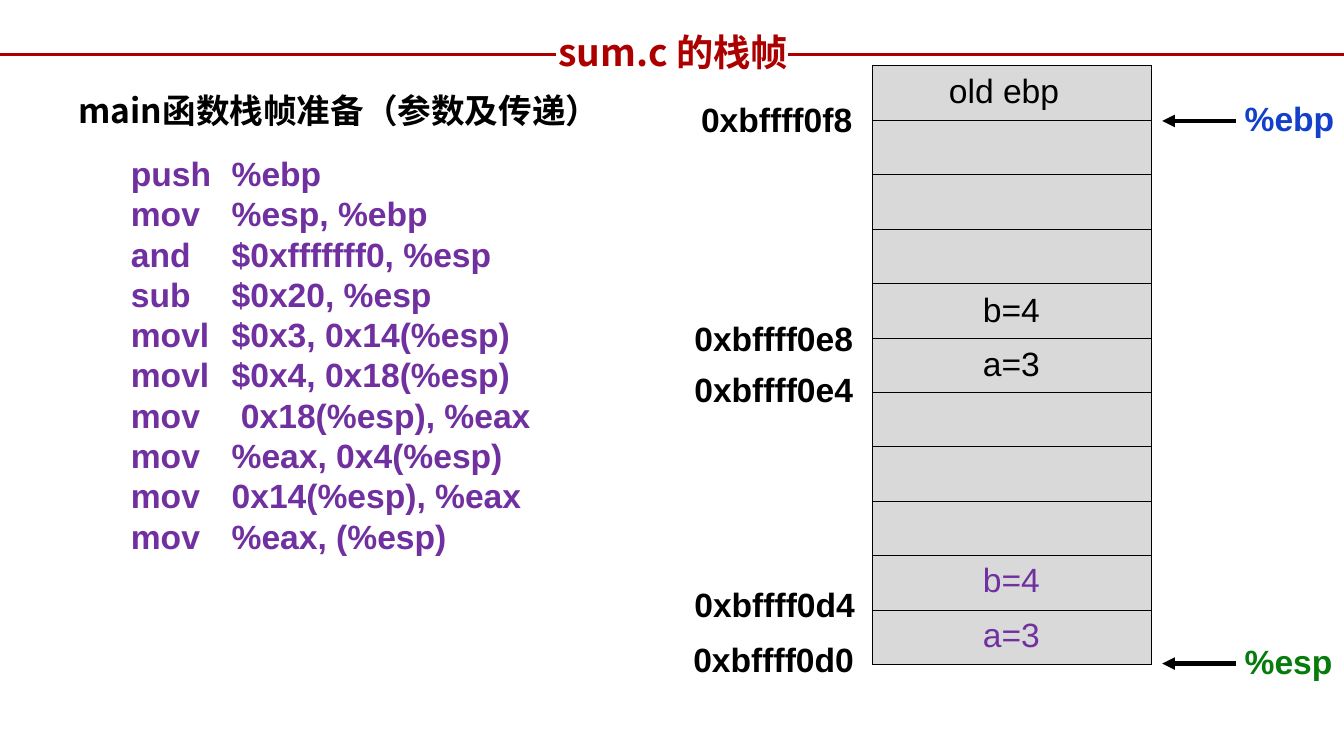
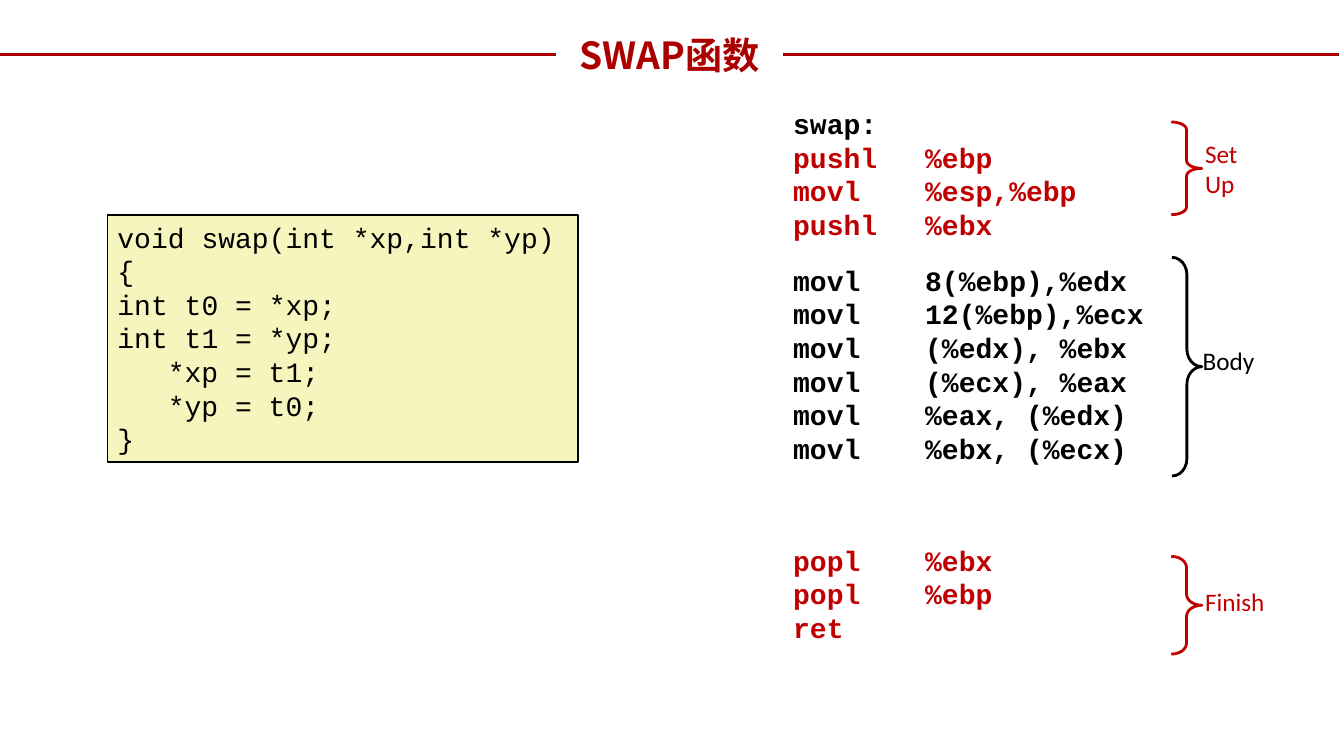
from lxml.etree import SubElement
from pptx import Presentation
from pptx.dml.color import RGBColor
from pptx.enum.shapes import MSO_CONNECTOR, MSO_SHAPE
from pptx.enum.text import MSO_ANCHOR, PP_ALIGN
from pptx.oxml import parse_xml
from pptx.oxml.ns import nsdecls, qn
from pptx.util import Inches, Pt

BLACK = RGBColor(0x00, 0x00, 0x00)
CRIMSON = RGBColor(0xAC, 0x00, 0x00)
RED = RGBColor(0xC0, 0x00, 0x00)
PURPLE = RGBColor(0x70, 0x30, 0xA0)
BLUE = RGBColor(0x13, 0x3F, 0xCB)
GREEN = RGBColor(0x06, 0x7C, 0x0C)
GREY = RGBColor(0xD9, 0xD9, 0xD9)
CREAM = RGBColor(0xF6, 0xF5, 0xBD)

SANS, MONO, LABEL, CHINESE = "Arial", "Courier New", "Calibri", "Noto Sans CJK SC"
COLUMNS, ROWS = 40, 22.5
LEADING = 1.2


def cells(count):
    """Length of a number of grid cells, each a third of an inch square."""
    return Inches(count / 3)


def style_run(run, font, size, color, bold):
    run.font.name, run.font.size, run.font.bold = font, Pt(size), bold
    run.font.color.rgb = color
    SubElement(run.font._element, qn("a:ea"), typeface=font)


def write(frame, lines, font=SANS, size=24, color=BLACK, bold=False,
          align=PP_ALIGN.LEFT, tab=None):
    """Fill a frame; a line is a string or (string, {color, before, indent})."""
    frame.word_wrap = True
    for index, line in enumerate(lines):
        text, options = (line, {}) if isinstance(line, str) else line
        paragraph = frame.paragraphs[0] if index == 0 else frame.add_paragraph()
        paragraph.alignment = align
        paragraph.line_spacing = Pt(size * LEADING)
        paragraph.space_before = Pt(options.get("before", 0))
        properties = paragraph._p.get_or_add_pPr()
        properties.set("marL", str(Pt(options.get("indent", 0))))
        if tab:
            stops = SubElement(properties, qn("a:tabLst"))
            SubElement(stops, qn("a:tab"), pos=str(Inches(tab)), algn="l")
        run = paragraph.add_run()
        run.text = text
        style_run(run, font, size, options.get("color", color), bold)


class Deck:
    """House style and the slide being filled; positions are in grid cells."""

    def __init__(self):
        self.presentation = Presentation()
        self.presentation.slide_width = cells(COLUMNS)
        self.presentation.slide_height = cells(ROWS)
        self.slide = None

    def new_slide(self, title, left, top, right_rule):
        """Start a slide with a title between two rules of equal length."""
        layout = self.presentation.slide_layouts[5]
        self.slide = self.presentation.slides.add_slide(layout)
        rule_length, rule_row = 16.54, 1.62
        for start in (0, right_rule):
            self.line(start, start + rule_length, rule_row, CRIMSON, 2)
        shape = self.slide.shapes.title
        shape.left, shape.top = cells(left), cells(top)
        shape.width, shape.height = cells(7.86), cells(1.65)
        frame = shape.text_frame
        frame.margin_left = frame.margin_right = 0
        frame.vertical_anchor = MSO_ANCHOR.MIDDLE
        paragraph = frame.paragraphs[0]
        paragraph.alignment = PP_ALIGN.CENTER
        run = paragraph.add_run()
        run.text = title
        style_run(run, CHINESE, 26.6, CRIMSON, True)

    def line(self, start, end, row, color, width, arrow=False):
        connector = self.slide.shapes.add_connector(
            MSO_CONNECTOR.STRAIGHT, cells(start), cells(row), cells(end), cells(row))
        connector.line.color.rgb = color
        connector.line.width = Pt(width)
        if arrow:
            SubElement(connector.line._get_or_add_ln(), qn("a:tailEnd"), type="triangle")
        SubElement(connector._element.spPr, qn("a:effectLst"))

    def text(self, lines, left, top, width, height=1.5, **style):
        box = self.slide.shapes.add_textbox(
            cells(left), cells(top), cells(width), cells(height))
        box.text_frame.margin_right = 0
        write(box.text_frame, lines, **style)

    def shape(self, kind, left, top, width, height, line_color, line_width, fill=None):
        shape = self.slide.shapes.add_shape(
            kind, cells(left), cells(top), cells(width), cells(height))
        shape.shadow.inherit = False
        shape.line.color.rgb = line_color
        shape.line.width = Pt(line_width)
        if fill is None:
            shape.fill.background()
        else:
            shape.fill.solid()
            shape.fill.fore_color.rgb = fill
        return shape

    def code_panel(self, lines, left, top, width, height, **style):
        panel = self.shape(MSO_SHAPE.RECTANGLE, left, top, width, height, BLACK, 1, CREAM)
        panel.text_frame.vertical_anchor = MSO_ANCHOR.TOP
        write(panel.text_frame, lines, **style)

    def brace(self, left, top, width, height, curl, color):
        brace = self.shape(MSO_SHAPE.RIGHT_BRACE, left, top, width, height, color, 2)
        brace.adjustments[0] = curl
        brace.adjustments[1] = 0.5

    def stack(self, count, left, top, width, height):
        """Empty one-column table of equal bordered rows."""
        table = self.slide.shapes.add_table(
            count, 1, cells(left), cells(top), cells(width), cells(height)).table
        table.first_row = table.horz_banding = False
        for index in range(count):
            table.rows[index].height = cells(height / count)
            cell = table.cell(index, 0)
            cell.fill.solid()
            cell.fill.fore_color.rgb = GREY
            properties = cell._tc.get_or_add_tcPr()
            for position, side in enumerate("LRTB"):
                properties.insert(position, parse_xml(
                    f'<a:ln{side} {nsdecls("a")} w="{Pt(0.75)}"><a:solidFill>'
                    f'<a:srgbClr val="{BLACK}"/></a:solidFill></a:ln{side}>'))


def build_stack_frame(deck):
    deck.new_slide("sum.c 的栈帧", left=16.11, top=0.72, right_rule=23.46)
    deck.text(["main函数栈帧准备（参数及传递）"], 2.04, 2.53, 16.53,
              font=CHINESE, bold=True)
    deck.text(["push\t%ebp", "mov\t%esp, %ebp", "and\t$0xfffffff0, %esp",
               "sub\t$0x20, %esp", "movl\t$0x3, 0x14(%esp)",
               "movl\t$0x4, 0x18(%esp)", "mov\t 0x18(%esp), %eax",
               "mov\t%eax, 0x4(%esp)", "mov\t0x14(%esp), %eax",
               "mov\t%eax, (%esp)"],
              3.6, 4.4, 14.5, 12.3, color=PURPLE, bold=True, tab=1)

    deck.stack(11, 25.98, 1.95, 8.28, 17.85)
    for value, color, left, top, width in (
            ("old ebp", BLACK, 27.83, 1.92, 3.81), ("b=4", BLACK, 28.83, 8.44, 2.25),
            ("a=3", BLACK, 28.83, 10.07, 2.25), ("b=4", PURPLE, 28.83, 16.48, 2.25),
            ("a=3", PURPLE, 28.83, 18.13, 2.25)):
        deck.text([value], left, top, width, color=color, align=PP_ALIGN.CENTER)
    for address, left, top in (("0xbffff0f8", 20.57, 2.79), ("0xbffff0e8", 20.37, 9.31),
                               ("0xbffff0e4", 20.37, 10.83), ("0xbffff0d4", 20.37, 17.23),
                               ("0xbffff0d0", 20.34, 18.87)):
        deck.text([address], left, top, 5.5, bold=True)
    for register, color, top, arrow_row in (("%ebp", BLUE, 2.76, 3.6),
                                            ("%esp", GREEN, 18.93, 19.75)):
        deck.line(36.78, 34.59, arrow_row, BLACK, 3, arrow=True)
        deck.text([register], 36.75, top, 3.25, color=color, bold=True)


def build_swap(deck):
    deck.new_slide("SWAP函数", left=16, top=0.81, right_rule=23.31)
    deck.code_panel(["void swap(int *xp,int *yp)", "{", "int t0 = *xp;",
                     "int t1 = *yp;", ("*xp = t1;", {"indent": 36}),
                     ("*yp = t0;", {"indent": 36}), "}"],
                    3.2, 6.4, 14, 7.35, font=MONO, size=20)

    red = {"color": RED}
    setup = [(line, red) for line in ("pushl\t%ebp", "movl\t%esp,%ebp", "pushl\t%ebx")]
    body = [("movl\t8(%ebp),%edx", {"before": 16}), "movl\t12(%ebp),%ecx",
            "movl\t(%edx), %ebx", "movl\t(%ecx), %eax",
            "movl\t%eax, (%edx)", "movl\t%ebx, (%ecx)"]
    finish = [("popl\t%ebx", {"color": RED, "before": 56}),
              ("popl\t%ebp", red), ("ret", red)]
    deck.text(["swap:"] + setup + body + finish, 23.31, 3.02, 12.36, 16.44,
              font=MONO, size=20, bold=True, tab=1.31)

    for brace, curl, color, label, left, top in (
            ((34.86, 3.63, 0.91, 2.76), 0.25, RED, ["Set", "Up"], 35.57, 3.96),
            ((34.88, 7.66, 0.89, 6.51), 0.58, BLACK, ["Body"], 35.5, 10.14),
            ((34.86, 16.56, 0.91, 2.91), 0.36, RED, ["Finish"], 35.57, 17.31)):
        deck.brace(*brace, curl, color)
        deck.text(label, left, top, 3, 1.5 * len(label),
                  font=LABEL, size=18, color=color)


def main():
    deck = Deck()
    build_stack_frame(deck)
    build_swap(deck)
    deck.presentation.save("out.pptx")


if __name__ == "__main__":
    main()
